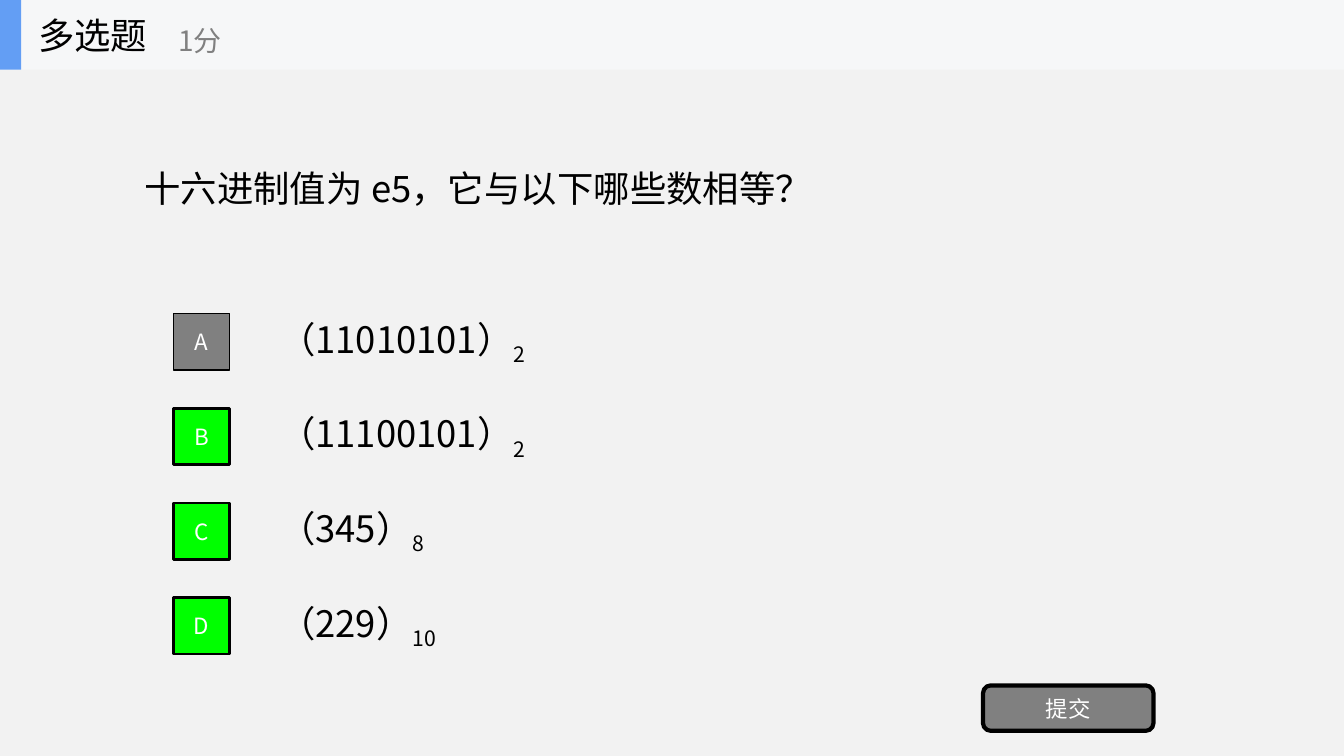
from lxml import etree
from pptx import Presentation
from pptx.dml.color import RGBColor
from pptx.enum.shapes import MSO_SHAPE as Shape
from pptx.enum.text import MSO_ANCHOR as Anchor, MSO_AUTO_SIZE as Fit, PP_ALIGN as Align
from pptx.oxml.ns import qn
from pptx.util import Inches, Pt

FONT = "Noto Sans CJK SC"
HEX = {
    "page": "F2F2F2", "bar": "F6F7F8", "accent": "639EF4",
    "black": "000000", "white": "FFFFFF", "gray": "808080", "green": "00FF00",
}
# letter, number, base, is correct
CHOICES = [
    ("A", "（11010101）", "2", False),
    ("B", "（11100101）", "2", True),
    ("C", "（345）", "8", True),
    ("D", "（229）", "10", True),
]
TOP, STEP = 3.04, 0.94


def color(name):
    return RGBColor.from_string(HEX[name])


def style(run, size, name):
    """Set size, colour and both the Latin and East Asian fonts."""
    font = run.font
    font.size, font.name = Pt(size), FONT
    font.color.rgb = color(name)
    east = etree.SubElement(run._r.get_or_add_rPr(), qn("a:ea"))
    east.set("typeface", FONT)


def write(shape, text, size, name, align=Align.LEFT):
    frame = shape.text_frame
    frame.text = text
    frame.word_wrap = True
    frame.auto_size = Fit.NONE
    frame.vertical_anchor = Anchor.MIDDLE
    para = frame.paragraphs[0]
    para.alignment = align
    style(para.runs[0], size, name)
    return para


def add_label(shapes, box, text, size, name):
    label = shapes.add_textbox(*map(Inches, box))
    return write(label, text, size, name)


def add_block(shapes, box, fill, line=0, kind=Shape.RECTANGLE):
    """Add a filled shape; a line width of 0 means no outline."""
    block = shapes.add_shape(kind, *map(Inches, box))
    block.shadow.inherit = False
    block.fill.solid()
    block.fill.fore_color.rgb = color(fill)
    if line:
        block.line.color.rgb = color("black")
        block.line.width = Pt(line)
    else:
        block.line.fill.background()
    return block


def add_choice(shapes, top, letter, number, base, right):
    para = add_label(shapes, (2.67, top, 9.33, 0.7), number, 26, "black")
    sub = para.add_run()
    sub.text = base
    style(sub, 26, "black")
    sub._r.get_or_add_rPr().set("baseline", "-25000")
    fill, line = ("green", 2) if right else ("gray", 1)
    mark = add_block(shapes, (1.72, top + 0.07, 0.56, 0.56), fill, line)
    write(mark, letter, 16, "white", Align.CENTER)


def add_header(slide):
    shapes = slide.shapes.add_group_shape().shapes
    add_block(shapes, (0, 0, 13.33, 0.69), "bar")
    add_block(shapes, (0, 0, 0.21, 0.69), "accent")
    add_label(shapes, (0.28, 0, 2.08, 0.69), "多选题", 26, "black")
    add_label(shapes, (1.67, 0.12, 2.5, 0.56), "1分", 20, "gray")


def add_title(slide, text):
    title = slide.shapes.title
    title.left, title.top = Inches(1.33), Inches(0.69)
    title.width, title.height = Inches(10.67), Inches(2.34)
    write(title, text, 26, "black")


def main():
    deck = Presentation()
    deck.slide_width, deck.slide_height = Inches(13.33), Inches(7.5)
    slide = deck.slides.add_slide(deck.slide_layouts[5])
    slide.background.fill.solid()
    slide.background.fill.fore_color.rgb = color("page")
    add_title(slide, "十六进制值为 e5，它与以下哪些数相等？")
    for row, choice in enumerate(CHOICES):
        add_choice(slide.shapes, TOP + row * STEP, *choice)
    button = add_block(slide.shapes, (9.75, 6.8, 1.69, 0.45), "gray", 3,
                       Shape.ROUNDED_RECTANGLE)
    write(button, "提交", 16, "white", Align.CENTER)
    add_header(slide)
    deck.save("out.pptx")


if __name__ == "__main__":
    main()
